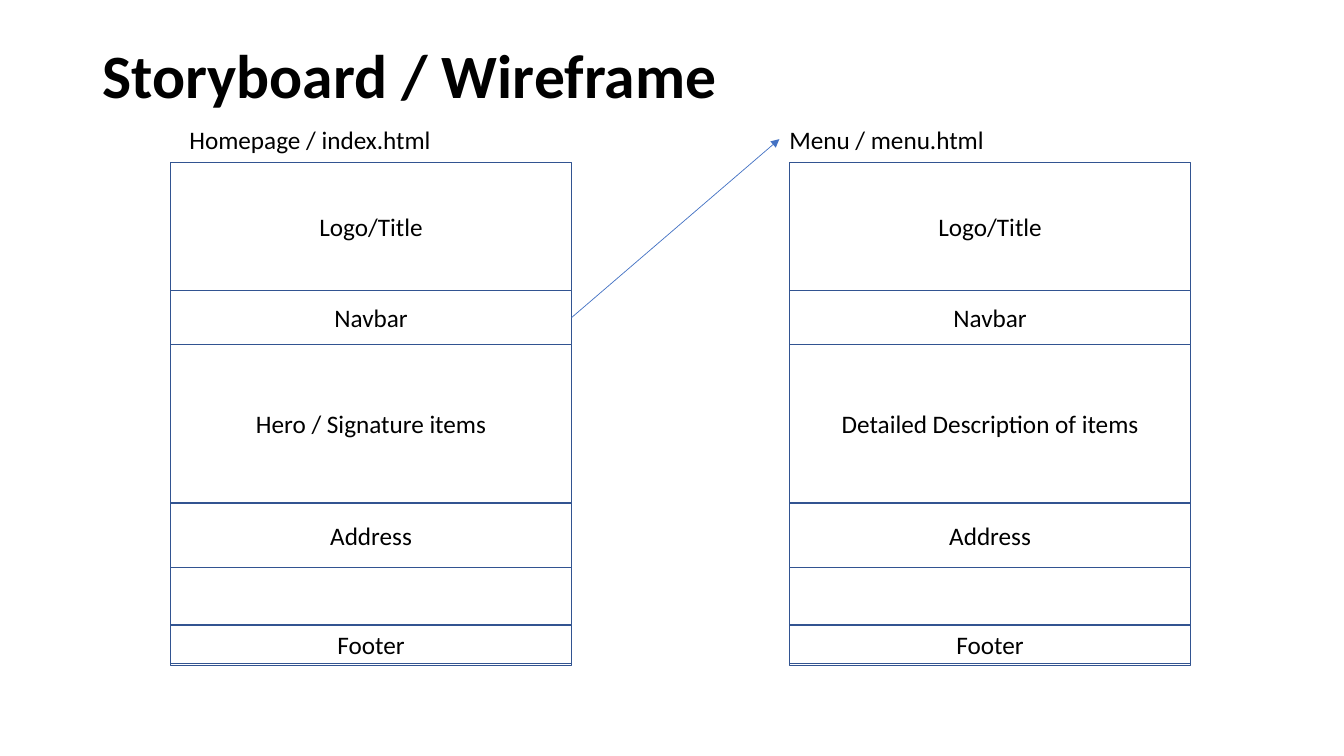
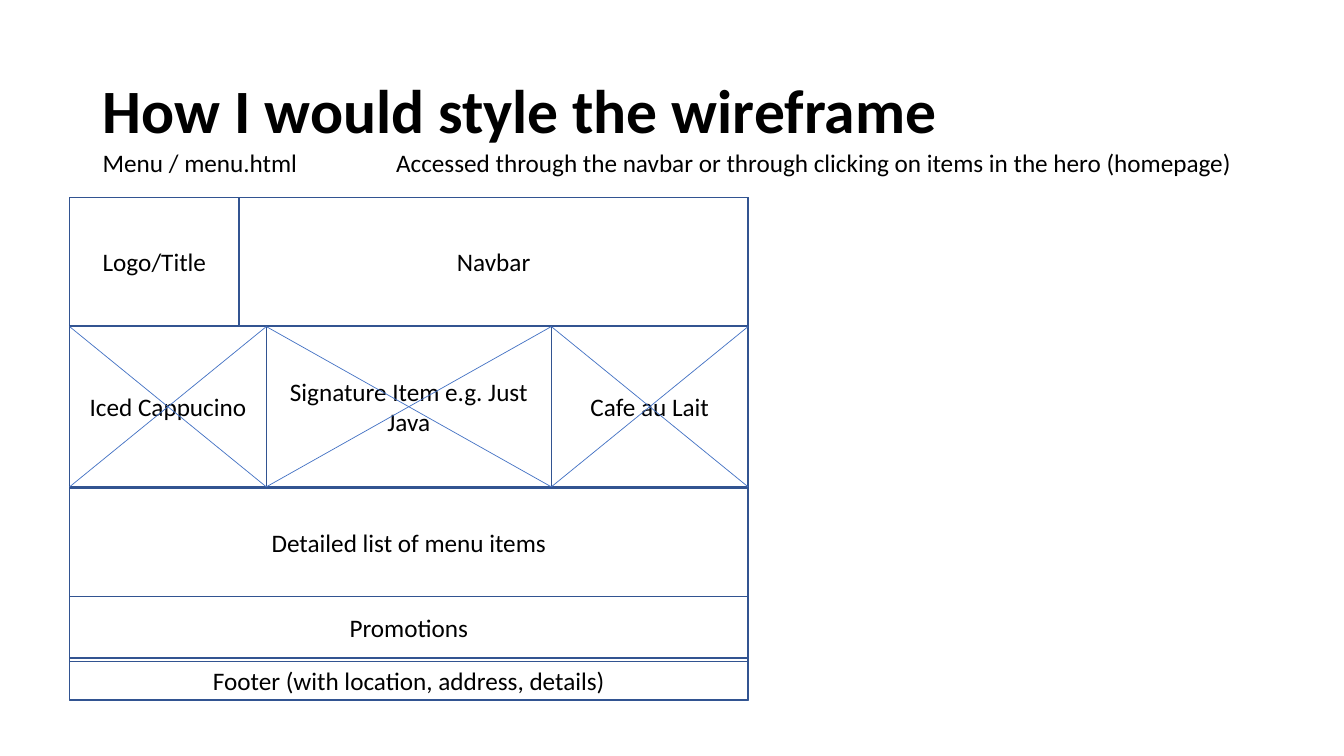
from lxml.etree import SubElement
from pptx import Presentation
from pptx.dml.color import RGBColor
from pptx.enum.shapes import MSO_CONNECTOR, MSO_SHAPE
from pptx.enum.text import MSO_ANCHOR, MSO_AUTO_SIZE, PP_ALIGN
from pptx.oxml.ns import qn
from pptx.util import Inches, Pt

SLIDE_SIZE = 13.33, 7.5
INK, PAPER, OUTLINE, STROKE = "000000", "FFFFFF", "325491", "4472C4"
BODY_FONT = {"name": "Calibri", "size": Pt(18), "bold": False}
TITLE_FONT = BODY_FONT | {"size": Pt(44), "bold": True}
CENTRED_FRAME = {"word_wrap": True, "vertical_anchor": MSO_ANCHOR.MIDDLE}
CAPTION_FRAME = {"word_wrap": False, "auto_size": MSO_AUTO_SIZE.SHAPE_TO_FIT_TEXT}
WIREFRAME_HEIGHT = 4.99
HEADER, FOOTER = 1.27, 0.38


def color(hex_code):
    """Turn a hex string into a colour."""
    return RGBColor.from_string(hex_code)


def apply(target, values):
    """Set each named value on the target."""
    for name, value in values.items():
        setattr(target, name, value)


def write(holder, words, frame, font, paragraph):
    """Put one formatted paragraph into a shape."""
    apply(holder.text_frame, frame)
    line = holder.text_frame.paragraphs[0]
    apply(line, paragraph)
    run = line.add_run()
    run.text = words
    apply(run.font, font)
    run.font.color.rgb = color(INK)


def add_title(slide, words, top):
    """Add the bold slide title."""
    title = slide.shapes.add_textbox(*map(Inches, (0.92, top, 11.5, 1.45)))
    write(title, words, CENTRED_FRAME, TITLE_FONT, {"line_spacing": 0.9})


def add_caption(slide, words, left, top, width):
    """Add a one-line caption."""
    caption = slide.shapes.add_textbox(*map(Inches, (left, top, width, 0.4)))
    write(caption, words, CAPTION_FRAME, BODY_FONT, {"alignment": PP_ALIGN.LEFT})


def add_region(slide, box, words=""):
    """Add an outlined page region, labelled if it has words."""
    region = slide.shapes.add_shape(MSO_SHAPE.RECTANGLE, *map(Inches, box))
    region.shadow.inherit = False
    region.fill.solid()
    region.fill.fore_color.rgb = color(PAPER)
    region.line.color.rgb = color(OUTLINE)
    region.line.width = Pt(1)
    if words:
        write(region, words, CENTRED_FRAME, BODY_FONT, {"alignment": PP_ALIGN.CENTER})


def add_stroke(slide, start, end, arrow=False):
    """Draw a thin line between two points."""
    stroke = slide.shapes.add_connector(
        MSO_CONNECTOR.STRAIGHT, *map(Inches, start + end))
    stroke.line.color.rgb = color(STROKE)
    stroke.line.width = Pt(0.5)
    properties = stroke.element.spPr
    if arrow:
        SubElement(properties.find(qn("a:ln")), qn("a:tailEnd"), type="triangle")
    SubElement(properties, qn("a:effectLst"))


def add_cross(slide, box):
    """Cross out a region as an image holder."""
    left, top, width, height = box
    right, bottom = left + width, top + height
    add_stroke(slide, (left, top), (right, bottom))
    add_stroke(slide, (left, bottom), (right, top))


def add_wireframe(slide, left, top, width, rows):
    """Stack rows of (height, gap below, {label: share}); return the boxes."""
    add_region(slide, (left, top, width, WIREFRAME_HEIGHT))
    boxes = {}
    for height, gap, cells in rows:
        cell_left = left
        for label, share in cells.items():
            boxes[label] = cell_left, top, width * share, height
            add_region(slide, boxes[label], label)
            cell_left += width * share
        top += height + gap
    return boxes


def page_rows(main_content):
    """List the rows of a storyboard page."""
    return [
        (HEADER, 0, {"Logo/Title": 1}),
        (0.54, 0, {"Navbar": 1}),
        (1.57, 0, {main_content: 1}),
        (0.64, 0.57, {"Address": 1}),
        (FOOTER, 0, {"Footer": 1}),
    ]


def build_storyboard(slide):
    """Build the two linked page outlines."""
    add_title(slide, "Storyboard / Wireframe", 0.05)
    home = add_wireframe(slide, 1.69, 1.61, 3.98, page_rows("Hero / Signature items"))
    add_wireframe(slide, 7.83, 1.61, 3.98, page_rows("Detailed Description of items"))
    add_caption(slide, "Homepage / index.html", 1.78, 1.18, 2.63)
    add_caption(slide, "Menu / menu.html", 7.73, 1.18, 2.16)
    left, top, width, height = home["Navbar"]
    add_stroke(slide, (left + width, top + height / 2), (7.73, 1.38), arrow=True)


def build_styled_page(slide):
    """Build the styled menu page."""
    add_title(slide, "How I would style the wireframe", 0.4)
    items = {"Iced Cappucino": 0.29, "Signature Item e.g. Just Java": 0.42,
             "Cafe au Lait": 0.29}
    page = add_wireframe(slide, 0.69, 1.96, 6.73, [
        (HEADER, 0.01, {"Logo/Title": 0.25, "Navbar": 0.75}),
        (1.59, 0.01, items),
        (1.08, 0, {"Detailed list of menu items": 1}),
        (0.61, 0.03, {"Promotions": 1}),
        (FOOTER, 0, {"Footer (with location, address, details)": 1}),
    ])
    for item in items:
        add_cross(slide, page[item])
    add_caption(slide, "Menu / menu.html", 0.92, 1.41, 2.16)
    add_caption(slide, "Accessed through the navbar or through clicking on items "
                "in the hero (homepage)", 3.83, 1.41, 8.51)


def main():
    """Build and save the presentation."""
    deck = Presentation()
    deck.slide_width, deck.slide_height = map(Inches, SLIDE_SIZE)
    for build in (build_storyboard, build_styled_page):
        build(deck.slides.add_slide(deck.slide_layouts[6]))
    deck.save("out.pptx")


if __name__ == "__main__":
    main()
